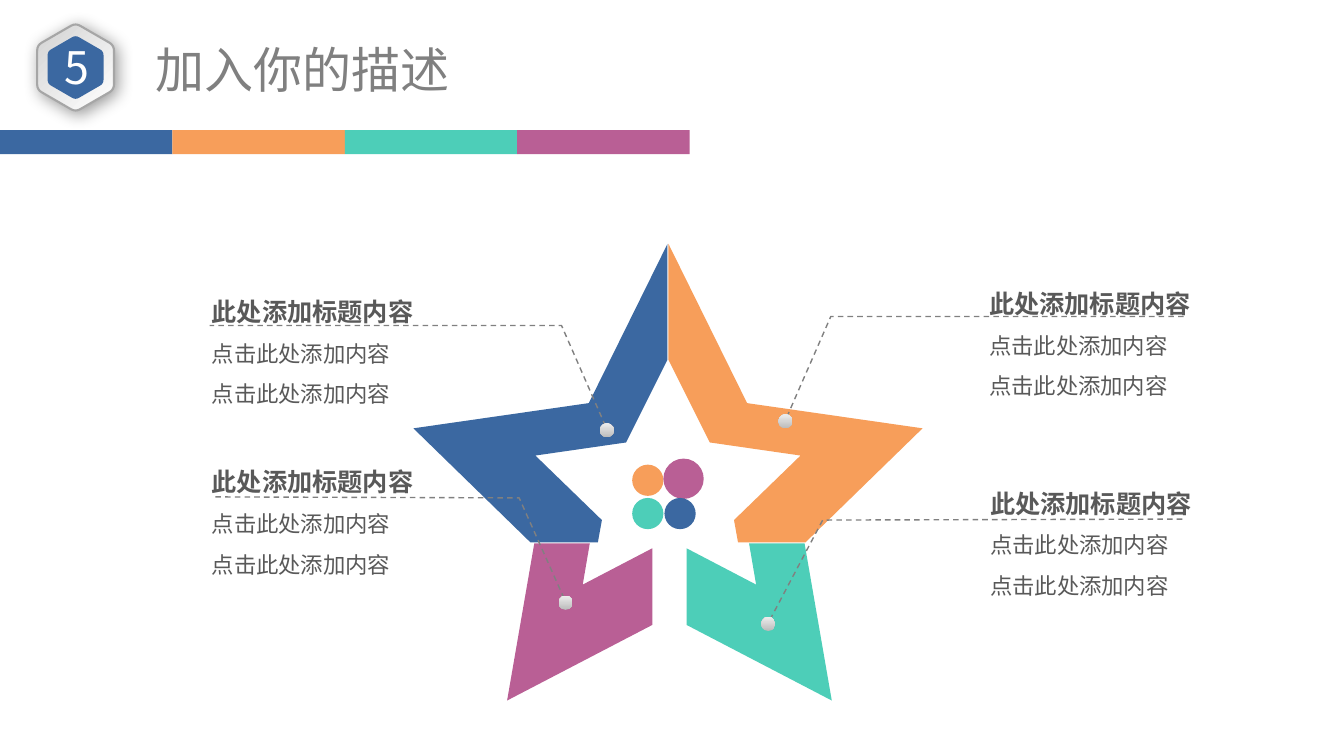
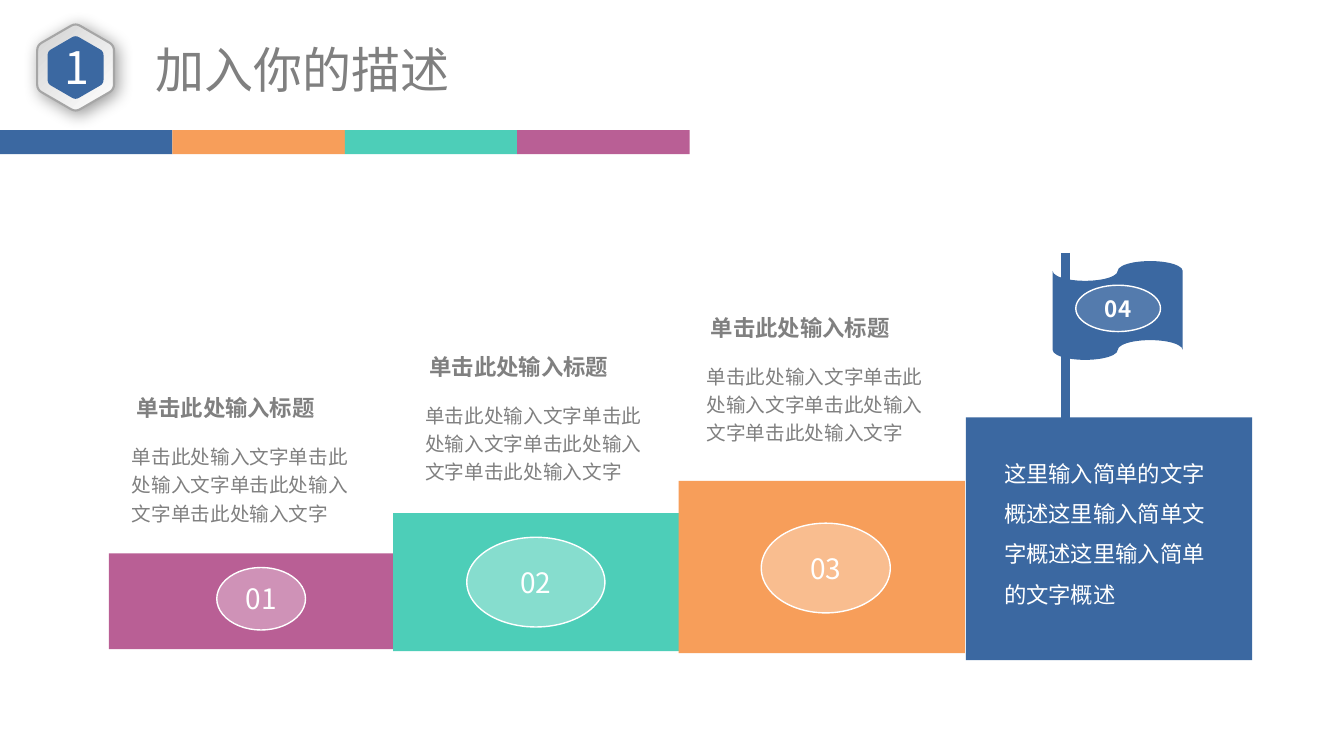
import math

from lxml import etree
from pptx import Presentation
from pptx.dml.color import RGBColor
from pptx.enum import dml, shapes, text
from pptx.oxml import ns
from pptx.util import Inches, Pt

FONT = "Noto Sans CJK SC"
COLORS = {
    "blue": "3B68A1",
    "orange": "F79E5A",
    "teal": "4DCEB8",
    "purple": "B95F95",
    "white": "FFFFFF",
    "gray": "808080",
    "dark": "595959",
    "rim": "A6A6A6",
    "silver": "D3D3D3",
    "ball_top": "EDEDED",
    "ball_bottom": "BBBBBB",
}
BAND_COLORS = ["blue", "orange", "teal", "purple"]
BAND_WIDTH = 1.71
RECT = shapes.MSO_SHAPE.RECTANGLE
OVAL = shapes.MSO_SHAPE.OVAL
CENTER = text.PP_ALIGN.CENTER
JUSTIFY = text.PP_ALIGN.JUSTIFY
MIDDLE = text.MSO_ANCHOR.MIDDLE
TOP = text.MSO_ANCHOR.TOP


def rgb(color):
    return RGBColor.from_string(COLORS[color])


def add_xml(parent, tag, **attributes):
    return etree.SubElement(parent, ns.qn(tag), attributes)


def paint(shape, fill=None, line=None, width=1, alpha=None):
    shape.shadow.inherit = False
    if fill:
        shape.fill.solid()
        shape.fill.fore_color.rgb = rgb(fill)
    else:
        shape.fill.background()
    if alpha:
        color = shape.fill._xPr.find(".//" + ns.qn("a:srgbClr"))
        add_xml(color, "a:alpha", val=str(alpha * 1000))
    if line:
        shape.line.color.rgb = rgb(line)
        shape.line.width = Pt(width)
    else:
        shape.line.fill.background()


def shade(shape, first, last, angle):
    shape.fill.gradient()
    shape.fill.gradient_angle = angle
    for stop, color, position in zip(shape.fill.gradient_stops, (first, last), (0, 1)):
        stop.color.rgb = rgb(color)
        stop.position = position


def add_figure(page, kind, area, fill, line=None, alpha=None):
    shape = page.shapes.add_shape(kind, *map(Inches, area))
    paint(shape, fill, line, alpha=alpha)
    return shape


def add_outline(page, points, fill=None, line=None, width=1, close=True):
    corners = [(Inches(x), Inches(y)) for x, y in points]
    builder = page.shapes.build_freeform(*corners[0], scale=1.0)
    builder.add_line_segments(corners[1:], close=close)
    shape = builder.convert_to_shape()
    paint(shape, fill, line, width)
    return shape


def write(box, lines, color, align=None, spacing=None, anchor=TOP, insets=(0.1, 0.05)):
    frame = box.text_frame
    frame.word_wrap = True
    frame.auto_size = text.MSO_AUTO_SIZE.NONE
    frame.vertical_anchor = anchor
    frame.margin_left = frame.margin_right = Inches(insets[0])
    frame.margin_top = frame.margin_bottom = Inches(insets[1])
    for index, (words, size, bold) in enumerate(lines):
        para = frame.add_paragraph() if index else frame.paragraphs[0]
        para.text = words
        para.alignment = align
        para.line_spacing = spacing
        font = para.font
        font.size = Pt(size)
        font.bold = bold
        font.color.rgb = rgb(color)
        font.name = FONT
        add_xml(para._p.pPr.find(ns.qn("a:defRPr")), "a:ea", typeface=FONT)


def add_text(page, area, lines, color, **style):
    box = page.shapes.add_textbox(*map(Inches, area))
    write(box, lines, color, **style)


def hexagon(center_x, center_y, radius, rounding=0.12):
    corners = [
        (
            center_x + radius * math.sin(math.radians(60 * k)),
            center_y - radius * math.cos(math.radians(60 * k)),
        )
        for k in range(6)
    ]
    points = []
    for k, corner in enumerate(corners):
        before, after = corners[k - 1], corners[(k + 1) % 6]
        for step in range(5):
            t = step / 4
            back, ahead = rounding * (1 - t) ** 2, rounding * t**2
            points.append(
                tuple(
                    c + back * (b - c) + ahead * (a - c)
                    for b, c, a in zip(before, corner, after)
                )
            )
    return points


def add_badge(page, number):
    rim = add_outline(page, hexagon(0.75, 0.67, 0.44), "silver", "rim", 1.5)
    shade(rim, "silver", "white", 315)
    effects = rim._element.spPr.find(ns.qn("a:effectLst"))
    shadow = add_xml(
        effects,
        "a:outerShdw",
        blurRad=str(Pt(12)),
        dist=str(Pt(3)),
        dir=str(45 * 60000),
        algn="tl",
        rotWithShape="0",
    )
    color = add_xml(shadow, "a:srgbClr", val="000000")
    add_xml(color, "a:alpha", val="40000")
    add_outline(page, hexagon(0.75, 0.67, 0.32), "blue")
    add_text(page, (0.42, 0.35, 0.69, 0.61), [(number, 32, False)], "white",
             align=CENTER, insets=(0.07, 0.04))


def add_page(deck, number, heading):
    page = deck.slides.add_slide(deck.slide_layouts[5])
    for index, color in enumerate(BAND_COLORS):
        add_figure(page, RECT, (index * BAND_WIDTH, 1.29, BAND_WIDTH, 0.24), color)
    title = page.shapes.title
    title.left, title.top, title.width, title.height = map(Inches, (1.1, 0.35, 3.8, 0.67))
    write(title, [(heading, 35, False)], "gray", align=CENTER, anchor=MIDDLE,
          insets=(0.13, 0.06))
    add_badge(page, number)
    return page


def mirror(points, total):
    return [(total - x, y) for x, y in points]


def add_callout(page, points):
    shape = add_outline(page, points, line="gray", close=False)
    shape.line.dash_style = dml.MSO_LINE.DASH
    add_xml(shape.line._ln, "a:headEnd", type="oval")


def add_ball(page, x, y, size=0.14):
    ball = add_figure(page, OVAL, (x - size / 2, y - size / 2, size, size), "silver")
    shade(ball, "ball_bottom", "ball_top", 90)


def build_star(deck):
    page = add_page(deck, "5", "加入你的描述")
    upper = [(5.84, 4), (4.1, 4.25), (5.26, 5.38), (5.93, 5.38), (5.97, 5.16),
             (5.31, 4.52), (6.21, 4.39), (6.62, 3.57), (6.62, 2.42)]
    lower = [(6.47, 5.44), (5.78, 5.8), (5.85, 5.39), (5.3, 5.39), (5.03, 6.95),
             (6.47, 6.2)]
    add_outline(page, mirror(lower, 13.28), "teal")
    add_outline(page, lower, "purple")
    add_outline(page, mirror(upper, 13.25), "orange")
    add_outline(page, upper, "blue")

    for x, y, size, color in [
        (6.27, 4.61, 0.31, "orange"),
        (6.58, 4.55, 0.4, "purple"),
        (6.27, 4.94, 0.31, "teal"),
        (6.59, 4.94, 0.31, "blue"),
    ]:
        add_figure(page, OVAL, (x, y, size, size), color)

    lines = [("此处添加标题内容", 18, True)] + [("点击此处添加内容", 16, False)] * 2
    callouts = [
        (9.68, 2.64, [(7.79, 4.17), (8.24, 3.14), (11.76, 3.14)]),
        (1.97, 2.72, [(6.02, 4.26), (5.57, 3.23), (2.08, 3.23)]),
        (1.97, 4.41, [(5.61, 5.97), (5.15, 4.94), (2.11, 4.93)]),
        (9.69, 4.62, [(7.62, 6.18), (8.16, 5.16), (11.76, 5.15)]),
    ]
    for left, top, points in callouts:
        add_callout(page, points)
        add_text(page, (left, top, 2.86, 1.75), lines, "dark", align=JUSTIFY,
                 spacing=1.5, insets=(0.13, 0.07))
    for _, _, points in callouts:
        add_ball(page, points[0][0], points[0][1] + 0.01)


def add_number(page, area, number, size=20, bold=False, alpha=32):
    oval = add_figure(page, OVAL, area, "white", "white", alpha)
    write(oval, [(number, size, bold)], "white", align=CENTER, anchor=MIDDLE)


def build_steps(deck):
    page = add_page(deck, "1", "加入你的描述")
    for left, top, height, color in [
        (1.08, 5.49, 0.95, "purple"),
        (3.9, 5.09, 1.37, "teal"),
        (6.73, 4.77, 1.71, "orange"),
        (9.58, 4.14, 2.41, "blue"),
    ]:
        add_figure(page, RECT, (left, top, 2.84, height), color)

    for number, oval, left, top in [
        ("01", (2.15, 5.63, 0.88, 0.62), 1.21, 3.79),
        ("02", (4.63, 5.33, 1.37, 0.89), 4.12, 3.38),
        ("03", (7.55, 5.19, 1.28, 0.89), 6.91, 2.99),
    ]:
        add_number(page, oval, number)
        add_text(page, (left + 0.14, top, 2.07, 0.46), [("单击此处输入标题", 16, True)],
                 "gray", spacing=1.2, anchor=MIDDLE, insets=(0, 0))
        add_text(page, (left, top + 0.53, 2.46, 0.93), [("单击此处输入文字" * 4, 14, False)],
                 "gray", spacing=1.2)

    pole = page.shapes.add_connector(
        shapes.MSO_CONNECTOR.STRAIGHT, *map(Inches, (10.57, 2.51, 10.57, 4.47))
    )
    pole.line.color.rgb = rgb("blue")
    pole.line.width = Pt(6)
    add_xml(pole._element.spPr, "a:effectLst")
    add_figure(page, shapes.MSO_SHAPE.FLOWCHART_PUNCHED_TAPE, (10.44, 2.59, 1.29, 0.98), "blue")
    add_number(page, (10.67, 2.83, 0.84, 0.46), "04", 16, True, 13)
    summary = "这里输入简单的文字概述这里输入简单文字概述这里输入简单的文字概述"
    add_text(page, (9.86, 4.38, 2.33, 1.65), [(summary, 16, False)], "white", spacing=1.5)


def main():
    deck = Presentation()
    deck.slide_width = Inches(13.33)
    deck.slide_height = Inches(7.5)
    build_star(deck)
    build_steps(deck)
    deck.save("out.pptx")


if __name__ == "__main__":
    main()
